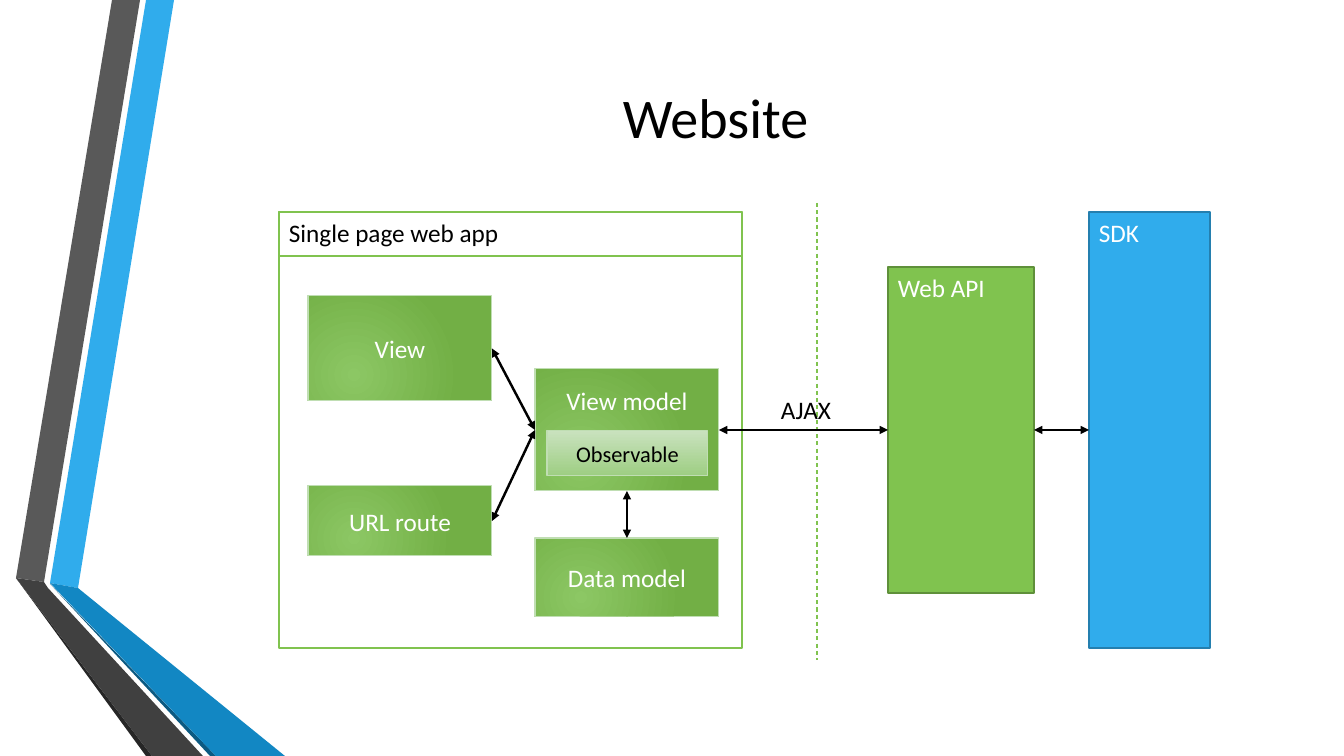
from lxml.etree import SubElement
from pptx import Presentation
from pptx.dml.color import RGBColor as RGB
from pptx.enum.dml import MSO_LINE as Dash
from pptx.enum.shapes import MSO_CONNECTOR as Conn, MSO_SHAPE as Shape
from pptx.enum.text import MSO_ANCHOR as Anchor, PP_ALIGN as Align
from pptx.oxml.ns import qn
from pptx.util import Pt

PX = 914400 / 100.8
HEX = {
    "black": "000000", "white": "FFFFFF",
    "green": "80C34F", "moss": "5F903A", "pale": "C0DEB3",
    "lime": "8CC764", "leaf": "72AF45", "mint": "C9E2BE", "sage": "9ECE83",
    "blue": "30ACEC", "navy": "247FAF", "sea": "1287C3", "deep": "0C5A82",
    "grey": "595959", "coal": "404040", "ink": "262626",
}
TOP, LEFT, BASE, RIGHT = range(4)


def emu(*nums):
    return [round(n * PX) for n in nums]


def tint(name):
    return RGB.from_string(HEX[name])


def write(item, text, size=18, color="black", align=Align.LEFT,
          anchor=Anchor.TOP, inset=None, font="Calibri"):
    frame = item.text_frame
    frame.word_wrap = True
    frame.vertical_anchor = anchor
    if inset is not None:
        frame.margin_top = emu(inset)[0]
    para = frame.paragraphs[0]
    para.alignment = align
    run = para.add_run()
    run.text = text
    run.font.size = Pt(size)
    run.font.name = font
    run.font.color.rgb = tint(color)


class Deck:
    def __init__(self, wide, high):
        self.deck = Presentation()
        self.deck.slide_width, self.deck.slide_height = emu(wide, high)
        self.slide = self.deck.slides.add_slide(self.deck.slide_layouts[5])
        self.shapes = self.slide.shapes

    def title(self, text, x, y, w, h):
        item = self.shapes.title
        item.left, item.top, item.width, item.height = emu(x, y, w, h)
        write(item, text, size=40, align=Align.CENTER, anchor=Anchor.MIDDLE)

    def band(self, color, *points):
        pen = self.shapes.build_freeform(*points[0], scale=PX)
        pen.add_line_segments(points[1:], close=True)
        item = pen.convert_to_shape()
        item.shadow.inherit = False
        item.fill.solid()
        item.fill.fore_color.rgb = tint(color)
        item.line.fill.background()

    def box(self, x, y, w, h, fill=None, line="green", width=1.25):
        item = self.shapes.add_shape(Shape.RECTANGLE, *emu(x, y, w, h))
        item.shadow.inherit = False
        if fill:
            item.fill.solid()
            item.fill.fore_color.rgb = tint(fill)
        else:
            item.fill.background()
        item.line.color.rgb = tint(line)
        item.line.width = Pt(width)
        return item

    def blend(self, x, y, w, h, colors=("lime", "leaf"), round_=True):
        item = self.box(x, y, w, h, line="pale", width=0.75)
        item.fill.gradient()
        for stop, color in zip(item.fill.gradient_stops, colors):
            stop.color.rgb = tint(color)
        if round_:
            grad = item.element.spPr.find(qn("a:gradFill"))
            grad.remove(grad.find(qn("a:lin")))
            glow = SubElement(grad, qn("a:path"), path="circle")
            SubElement(glow, qn("a:fillToRect"),
                       l="50000", t="100000", r="100000", b="50000")
        else:
            item.fill.gradient_angle = 270
        return item

    def line(self, x1, y1, x2, y2, color="black", width=1.75):
        item = self.shapes.add_connector(Conn.STRAIGHT, *emu(x1, y1, x2, y2))
        item.line.color.rgb = tint(color)
        item.line.width = Pt(width)
        SubElement(item.element.spPr, qn("a:effectLst"))
        return item

    def arrow(self, start, out, end, into):
        item = self.line(0, 0, 0, 0)
        item.begin_connect(start, out)
        item.end_connect(end, into)
        edge = item.element.spPr.find(qn("a:ln"))
        for tip in ("a:headEnd", "a:tailEnd"):
            SubElement(edge, qn(tip), type="triangle")

    def label(self, text, x, y, w, h):
        item = self.shapes.add_textbox(*emu(x, y, w, h))
        write(item, text)


page = Deck(1344, 756)
page.band("blue", (50, 583), (78, 588), (174, 0), (146, 0))
page.band("grey", (140, 0), (112, 0), (16, 578), (44, 582))
page.band("ink", (16, 578), (146, 756), (152, 756))
page.band("deep", (50, 584), (210, 756), (216, 756))
page.band("sea", (50, 583), (216, 756), (285, 756), (78, 588))
page.band("coal", (203, 756), (48, 588), (44, 582), (16, 578), (152, 756))
page.title("Website", 163, 76, 1105, 80)

write(page.box(279, 212, 463, 44, fill="white"), "Single page web app")
api = page.box(888, 267, 146, 326, fill="green", line="moss")
write(api, "Web API", color="white")
page.line(817, 203, 817, 660, color="green", width=0.75).line.dash_style = Dash.DASH
sdk = page.box(1089, 212, 121, 436, fill="blue", line="navy")
write(sdk, "SDK", color="white")
page.box(279, 212, 463, 436)

mid = {"align": Align.CENTER, "anchor": Anchor.MIDDLE}
model = page.blend(535, 369, 184, 122)
write(model, "View model", color="white", align=Align.CENTER, inset=16)
parts = {}
for name, x, y, h in (("View", 308, 296, 105), ("Data model", 535, 538, 79),
                      ("URL route", 308, 486, 70)):
    parts[name] = page.blend(x, y, 184, h)
    write(parts[name], name, color="white", **mid)

page.arrow(api, RIGHT, sdk, LEFT)
page.arrow(model, RIGHT, api, LEFT)
page.arrow(model, BASE, parts["Data model"], TOP)
for name in ("View", "URL route"):
    page.arrow(parts[name], RIGHT, model, LEFT)

page.label("AJAX", 771, 389, 111, 40)
note = page.blend(547, 431, 161, 45, colors=("mint", "sage"), round_=False)
write(note, "Observable", size=16, **mid)

page.deck.save("out.pptx")
